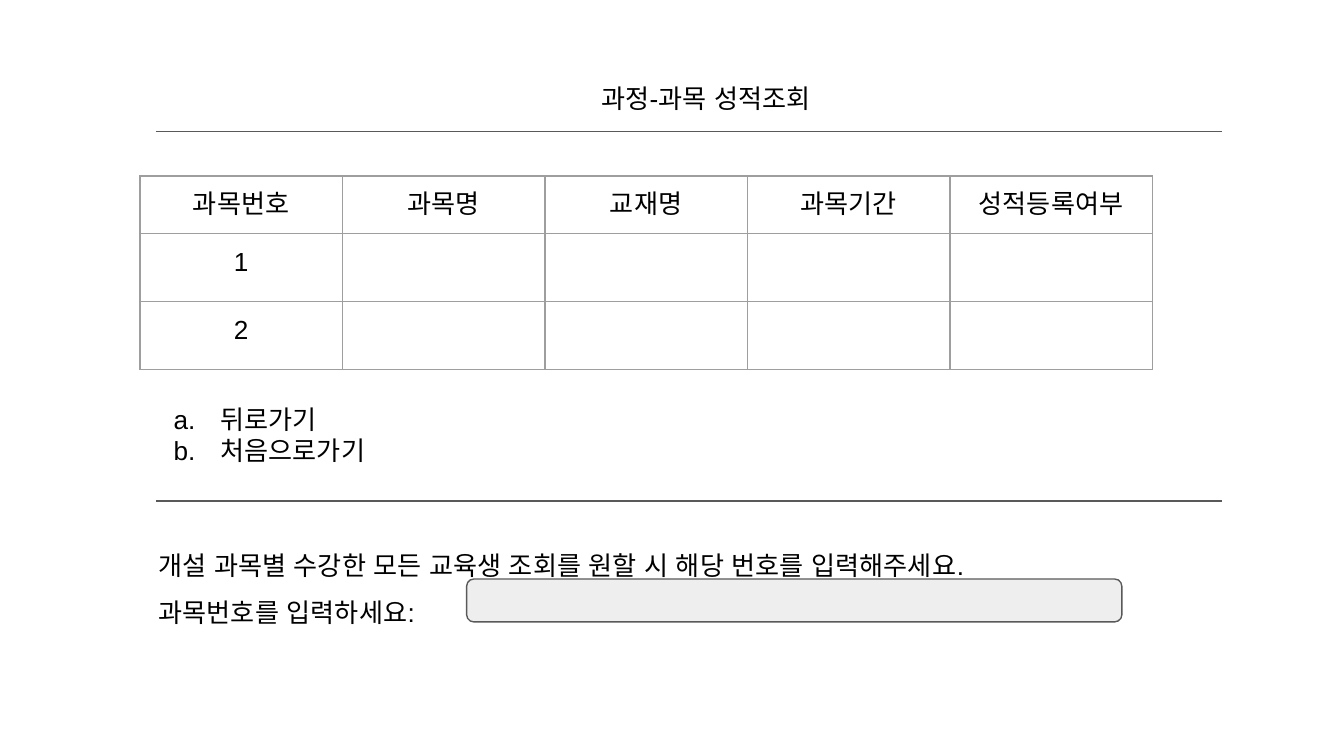
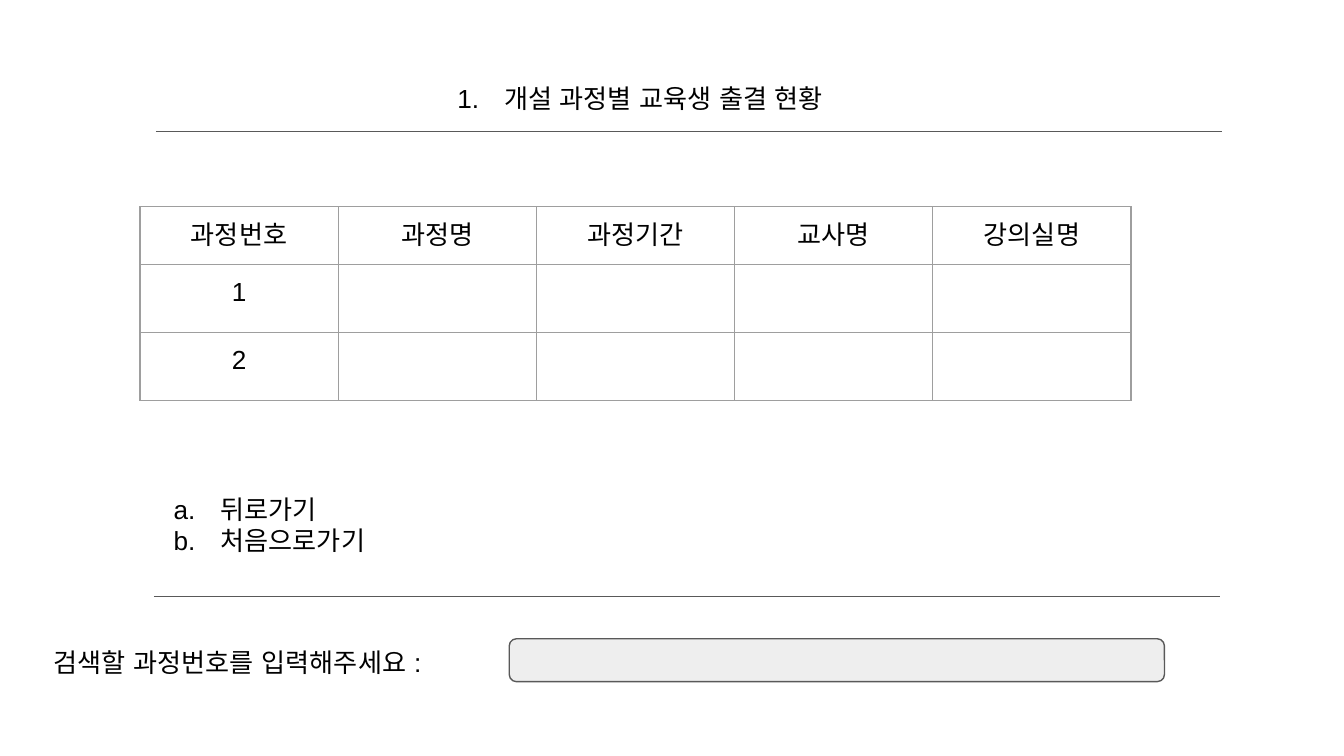
from lxml import etree
from pptx import Presentation
from pptx.dml.color import RGBColor
from pptx.enum.shapes import MSO_CONNECTOR, MSO_SHAPE
from pptx.enum.text import MSO_ANCHOR, MSO_AUTO_SIZE, PP_ALIGN
from pptx.oxml.ns import qn
from pptx.util import Pt

LEFT, CENTER = PP_ALIGN.LEFT, PP_ALIGN.CENTER
TOP = MSO_ANCHOR.TOP
NO_AUTOFIT = MSO_AUTO_SIZE.NONE
STRAIGHT = MSO_CONNECTOR.STRAIGHT
ROUNDED = MSO_SHAPE.ROUNDED_RECTANGLE

COLORS = {"text": "000000", "rule": "595959", "grid": "9E9E9E", "field": "EEEEEE"}
FONT = "Arial"
TEXT_SIZE = Pt(14)
LINE_WIDTH = Pt(0.75)
INSET = Pt(7.2)
LIST_INDENT, LIST_HANGING = Pt(36), Pt(-25)
RULE_LENGTH = 571
TABLE_LEFT, ROW_HEIGHT = 75, 31
FIELD_SIZE = (351, 23)
FRAME_FORMAT = {
    "word_wrap": True, "auto_size": NO_AUTOFIT, "vertical_anchor": TOP,
    "margin_left": INSET, "margin_right": INSET,
    "margin_top": INSET, "margin_bottom": INSET,
}
MENU = ["뒤로가기", "처음으로가기"]

SCREENS = [
    {
        "title": "과정-과목 성적조회",
        "title_left": 239, "title_align": CENTER, "title_number": None,
        "headings": ["과목번호", "과목명", "교재명", "과목기간", "성적등록여부"],
        "table_top": 94.3, "column_width": 108.5,
        "menu_top": 208.8,
        "rules": [(83.5, 70.5), (83.5, 268.5)],
        "prompt": ["개설 과목별 수강한 모든 교육생 조회를 원할 시 해당 번호를 입력해주세요.",
                   "과목번호를 입력하세요:"],
        "prompt_box": (77.8, 278.6, 509, 31.7), "prompt_spacing": 1.5,
        "field_at": (250, 310.2),
    },
    {
        "title": "개설 과정별 교육생 출결 현황",
        "title_left": 226.8, "title_align": LEFT, "title_number": "arabicPeriod",
        "headings": ["과정번호", "과정명", "과정기간", "교사명", "강의실명"],
        "table_top": 110.8, "column_width": 106.2,
        "menu_top": 257,
        "rules": [(83.5, 70.5), (82.5, 319.5)],
        "prompt": ["검색할 과정번호를 입력해주세요 :"],
        "prompt_box": (21.6, 339, 242.6, 28.8), "prompt_spacing": 1.0,
        "field_at": (272.8, 342.2),
    },
]


def write_text(frame, lines, align=LEFT, spacing=1.0, numbering=None, indent=0):
    """Fill a text frame, one paragraph a line, optionally as a numbered list."""
    for i, line in enumerate(lines):
        paragraph = frame.paragraphs[0] if i == 0 else frame.add_paragraph()
        paragraph.alignment = align
        paragraph.line_spacing = spacing
        run = paragraph.add_run()
        run.text = line
        run.font.name = FONT
        run.font.size = TEXT_SIZE
        run.font.color.rgb = RGBColor.from_string(COLORS["text"])
        etree.SubElement(run.font._element, qn("a:ea"), typeface=FONT)
        properties = paragraph._p.get_or_add_pPr()
        properties.set("marL", str(int(indent)))
        properties.set("indent", str(int(LIST_HANGING if numbering else 0)))
        if numbering:
            number_color = etree.SubElement(properties, qn("a:buClr"))
            etree.SubElement(number_color, qn("a:srgbClr"), val=COLORS["text"])
            etree.SubElement(properties, qn("a:buAutoNum"), type=numbering)


def format_frame(frame):
    for name, value in FRAME_FORMAT.items():
        setattr(frame, name, value)
    return frame


prs = Presentation()
prs.slide_width, prs.slide_height = Pt(720), Pt(405)

for screen in SCREENS:
    slide = prs.slides.add_slide(prs.slide_layouts[5])
    shapes = slide.shapes

    title = shapes.title
    title.left, title.top = Pt(screen["title_left"]), Pt(34.6)
    title.width, title.height = Pt(242.6), Pt(50.4)
    write_text(format_frame(title.text_frame), [screen["title"]], screen["title_align"],
               1.15, screen["title_number"], LIST_INDENT)

    for left, top in screen["rules"]:
        rule = shapes.add_connector(STRAIGHT, Pt(left), Pt(top),
                                    Pt(left + RULE_LENGTH), Pt(top))
        rule.line.color.rgb = RGBColor.from_string(COLORS["rule"])
        rule.line.width = LINE_WIDTH
        etree.SubElement(rule._element.spPr, qn("a:effectLst"))

    headings = screen["headings"]
    rows = [headings] + [[number] + [""] * (len(headings) - 1) for number in "12"]
    table = shapes.add_table(
        len(rows), len(headings), Pt(TABLE_LEFT), Pt(screen["table_top"]),
        Pt(screen["column_width"] * len(headings)), Pt(ROW_HEIGHT * len(rows))).table
    table.first_row = table.horz_banding = False
    for column in table.columns:
        column.width = Pt(screen["column_width"])
    for r, values in enumerate(rows):
        for c, value in enumerate(values):
            cell = table.cell(r, c)
            for side in ("left", "right", "top", "bottom"):
                setattr(cell, f"margin_{side}", INSET)
            cell_properties = cell._tc.get_or_add_tcPr()
            for edge in ("lnL", "lnR", "lnT", "lnB"):
                border = etree.SubElement(cell_properties, qn(f"a:{edge}"),
                                          w=str(int(LINE_WIDTH)))
                border_fill = etree.SubElement(border, qn("a:solidFill"))
                etree.SubElement(border_fill, qn("a:srgbClr"), val=COLORS["grid"])
            cell.fill.background()
            if value:
                write_text(cell.text_frame, [value], CENTER)

    menu = shapes.add_textbox(Pt(75), Pt(screen["menu_top"]), Pt(580.3), Pt(54.7))
    write_text(format_frame(menu.text_frame), MENU,
               numbering="alphaLcPeriod", indent=LIST_INDENT)

    prompt = shapes.add_textbox(*map(Pt, screen["prompt_box"]))
    write_text(format_frame(prompt.text_frame), screen["prompt"],
               spacing=screen["prompt_spacing"])

    field = shapes.add_shape(ROUNDED, *map(Pt, screen["field_at"] + FIELD_SIZE))
    field.shadow.inherit = False
    field.fill.solid()
    field.fill.fore_color.rgb = RGBColor.from_string(COLORS["field"])
    field.line.color.rgb = RGBColor.from_string(COLORS["rule"])
    field.line.width = LINE_WIDTH

prs.save("out.pptx")
